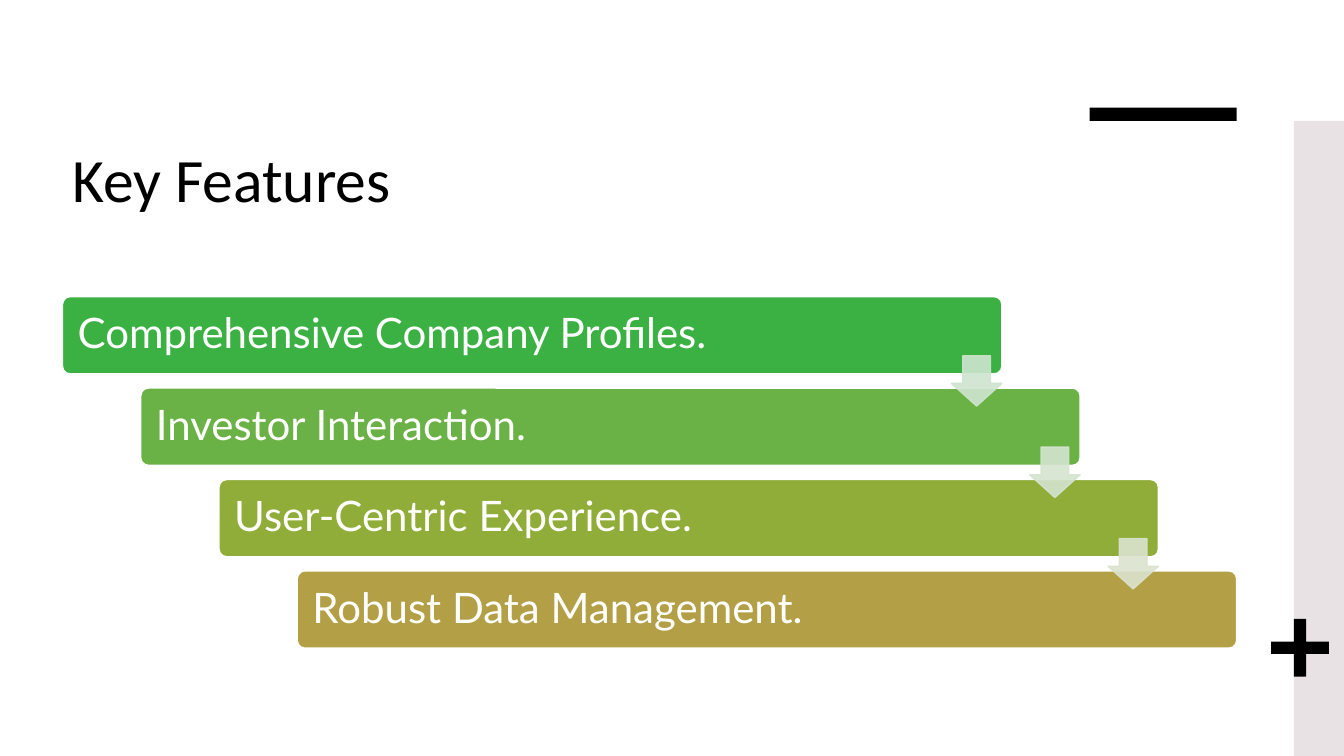
from pptx import Presentation
from pptx.util import Pt
from pptx.dml.color import RGBColor as RGB
from pptx.enum.shapes import MSO_SHAPE as Kind
from pptx.enum.text import MSO_ANCHOR as Anchor, PP_ALIGN as Align
from pptx.oxml.ns import qn
from lxml.etree import SubElement as Sub

# Content
TITLE = "Key Features"
STEPS = [  # text, bar colour, colour of the arrow that follows
    ("Comprehensive Company Profiles.", "3BB144", "CEE4CF"),
    ("Investor Interaction.", "6BB246", "D4E4CF"),
    ("User-Centric Experience.", "90AC39", "DBE3CE"),
    ("Robust Data Management.", "B3A046", None),
]
THEME = dict(ink="000000", paper="FFFFFF", band="E8E2E5",
             head=("Calibri", 44), body=("Lato", 30))

# Layout, in points
WIDTH, HEIGHT = 960, 540
LEFT, TOP = 44.64, 211.9
BAR_W, BAR_H = 671, 55.2
STEP_X, STEP_Y = 55.9, 65.3
ARROW, DROP = 36, 42.2
DECOR = [  # kind, box, colour
    (Kind.RECTANGLE, (924.3, 86.4, 35.7, 453.6), "band"),
    (Kind.RECTANGLE, (778.3, 77, 105.1, 9.4), "ink"),
    (Kind.CROSS, (907.9, 442.1, 41.3, 41.3), "ink"),
]

deck = Presentation()
deck.slide_width, deck.slide_height = Pt(WIDTH), Pt(HEIGHT)
slide = deck.slides.add_slide(deck.slide_layouts[6])
slide.background.fill.solid()
slide.background.fill.fore_color.rgb = RGB.from_string(THEME["paper"])


def draw(kind, box, fill, line=None, adjust=()):
    shape = slide.shapes.add_shape(kind, *map(Pt, box))
    shape.shadow.inherit = False
    shape.fill.solid()
    shape.fill.fore_color.rgb = RGB.from_string(fill)
    if line:
        shape.line.color.rgb = RGB.from_string(line)
        shape.line.width = Pt(1)
    else:
        shape.line.fill.background()
    for i, value in enumerate(adjust):
        shape.adjustments[i] = value
    return shape


def write(shape, text, font, color, anchor, left, top):
    frame = shape.text_frame
    frame.word_wrap = True
    frame.vertical_anchor = anchor
    frame.margin_left = frame.margin_right = Pt(left)
    frame.margin_top = frame.margin_bottom = Pt(top)
    para = frame.paragraphs[0]
    para.text = text
    para.alignment = Align.LEFT
    para.font.name, para.font.size = font[0], Pt(font[1])
    para.font.color.rgb = RGB.from_string(color)
    return para


# Title
box = slide.shapes.add_textbox(*map(Pt, (LEFT, 95, 651, 113.8)))
write(box, TITLE, THEME["head"], THEME["ink"], Anchor.TOP, 7.2, 5.5)

# Side band, rule and plus sign
for kind, area, color in DECOR:
    adjust = [0.395] if kind == Kind.CROSS else []
    draw(kind, area, THEME[color], adjust=adjust)

# Staircase of bars
for i, (text, color, _) in enumerate(STEPS):
    area = (LEFT + i * STEP_X, TOP + i * STEP_Y, BAR_W, BAR_H)
    bar = draw(Kind.ROUNDED_RECTANGLE, area, color, THEME["paper"], [0.1])
    para = write(bar, text, THEME["body"], THEME["paper"],
                 Anchor.MIDDLE, 9.2, 9.2)
    para.line_spacing = 0.9

# Arrows between the bars, slightly see-through
for i, (_, _, color) in enumerate(STEPS[:-1]):
    x = LEFT + i * STEP_X + BAR_W - ARROW
    y = TOP + i * STEP_Y + DROP
    arrow = draw(Kind.DOWN_ARROW, (x, y, ARROW, ARROW), color, color,
                 [0.55, 0.45])
    for tint in arrow.element.spPr.iter(qn("a:srgbClr")):
        Sub(tint, qn("a:alpha"), val="90000")

deck.save("out.pptx")
